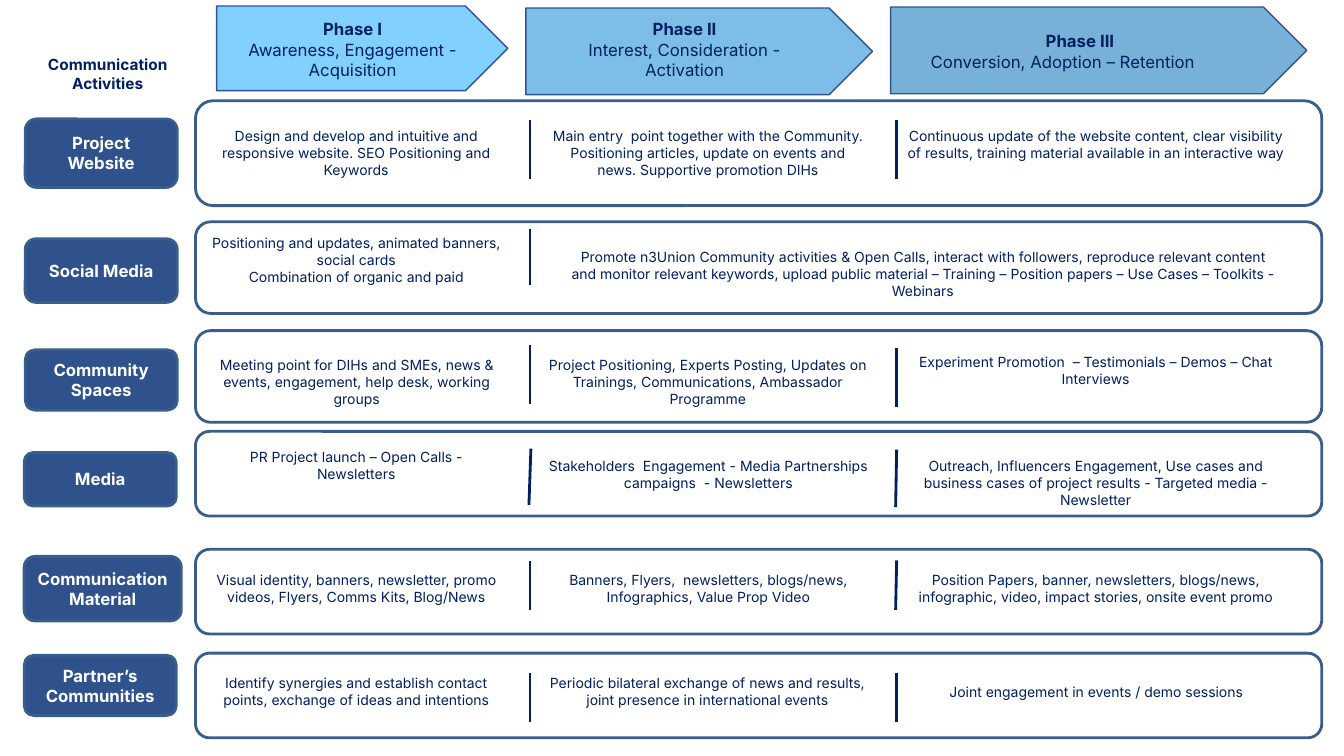
"""Build the communication activities by phase slide."""
from dataclasses import dataclass

from lxml import etree
from pptx import Presentation
from pptx.dml.color import RGBColor
from pptx.enum import shapes, text
from pptx.oxml import ns
from pptx.util import Inches, Pt


@dataclass(frozen=True)
class Theme:
    font: str = "Inter"
    navy: str = "002060"
    white: str = "FFFFFF"
    label_fill: str = "2F518C"
    outline: str = "395E89"
    arrow_outline: str = "31538F"
    body_size: int = 10
    heading_size: int = 11
    label_size: int = 12


THEME = Theme()
SLIDE_SIZE = (13.34, 7.5)
PANEL_LEFT, PANEL_WIDTH = 1.94, 11.18
FIRST, SECOND = 5.26, 8.9
HEADING = ("Communication Activities", (0.24, 0.5, 1.66, 0.47))

# phase, aim, arrow fill, arrow box, text box, right indent of the aim
PHASES = [
    ("Phase I", "Awareness, Engagement - Acquisition", "82D0FE",
     (2.15, 0.06, 2.89, 0.84), (2.24, 0.14, 2.52, 0.91), 0),
    ("Phase II", "Interest, Consideration - Activation", "7DBEE8",
     (5.22, 0.08, 3.44, 0.86), (5.49, 0.14, 2.61, 0.71), 0),
    ("Phase III", "Conversion, Adoption – Retention", "77B1D7",
     (8.84, 0.07, 4.13, 0.86), (9.12, 0.26, 3.2, 0.71), 0.34),
]

# label, label box, panel top and height, cells (text, box), dividers (from, to)
ACTIVITIES = [
    ("Project Website", (0.25, 1.18, 1.51, 0.68), (1, 1.04), [
        ("Design and develop and intuitive and responsive website. SEO Positioning and Keywords",
         (2.03, 1.22, 3.01, 0.66)),
        ("Main entry  point together with the Community. Positioning articles, update on events "
         "and news. Supportive promotion DIHs", (5.37, 1.22, 3.31, 0.66)),
        ("Continuous update of the website content, clear visibility of results, training "
         "material available in an interactive way", (8.89, 1.22, 3.97, 0.66)),
    ], [(FIRST, 1.19, FIRST, 1.78), (SECOND, 1.19, SECOND, 1.78)]),
    ("Social Media", (0.25, 2.37, 1.51, 0.63), (2.2, 0.91), [
        ("Positioning and updates, animated banners, social cards\n"
         "Combination of organic and paid", (1.99, 2.28, 3.09, 0.66)),
        ("Promote n3Union Community activities & Open Calls, interact with followers, reproduce "
         "relevant content and monitor relevant keywords, upload public material – Training – "
         "Position papers – Use Cases – Toolkits - Webinars", (5.53, 2.42, 7.26, 0.47)),
    ], [(FIRST, 2.27, FIRST, 2.83)]),
    ("Community Spaces", (0.25, 3.47, 1.51, 0.6), (3.28, 0.91), [
        ("Meeting point for DIHs and SMEs, news & events, engagement, help desk, working groups",
         (1.94, 3.49, 3.2, 0.47)),
        ("Project Positioning, Experts Posting, Updates on Trainings, Communications, "
         "Ambassador Programme", (5.26, 3.49, 3.53, 0.47)),
        ("Experiment Promotion  – Testimonials – Demos – Chat Interviews",
         (8.89, 3.46, 3.97, 0.53)),
    ], [(FIRST, 3.42, FIRST, 4.01), (SECOND, 3.45, SECOND, 4.04)]),
    ("Media", (0.24, 4.49, 1.51, 0.53), (4.28, 0.84), [
        ("PR Project launch – Open Calls - Newsletters", (2.09, 4.4, 2.89, 0.66)),
        ("Stakeholders  Engagement - Media Partnerships campaigns  - Newsletters",
         (5.32, 4.49, 3.42, 0.47)),
        ("Outreach, Influencers Engagement, Use cases and business cases of project results - "
         "Targeted media - Newsletter", (8.84, 4.49, 4.07, 0.47)),
    ], [(5.27, 4.45, 5.25, 5.01), (SECOND, 4.46, 8.89, 5.03)]),
    ("Communication Material", (0.24, 5.52, 1.56, 0.64), (5.45, 0.84), [
        ("Visual identity, banners, newsletter, promo videos, Flyers, Comms Kits, Blog/News",
         (1.99, 5.62, 3.09, 0.47)),
        ("Banners, Flyers,  newsletters, blogs/news, Infographics, Value Prop Video",
         (5.32, 5.62, 3.42, 0.47)),
        ("Position Papers, banner, newsletters, blogs/news, infographic, video, impact stories, "
         "onsite event promo", (8.89, 5.62, 3.97, 0.47)),
    ], [(FIRST, 5.57, FIRST, 6.05), (SECOND, 5.56, 8.89, 6.05)]),
    ("Partner’s Communities", (0.24, 6.5, 1.51, 0.6), (6.48, 0.84), [
        ("Identify synergies and establish contact points, exchange of ideas and intentions",
         (2.03, 6.64, 3.01, 0.47)),
        ("Periodic bilateral exchange of news and results, joint presence in international events",
         (5.3, 6.64, 3.44, 0.47)),
        ("Joint engagement in events / demo sessions", (8.5, 6.73, 4.76, 0.29)),
    ], [(FIRST, 6.68, FIRST, 7.16), (SECOND, 6.68, SECOND, 7.16)]),
]


def inches(values):
    return [Inches(value) for value in values]


def write(frame, content, size=THEME.body_size, color=THEME.navy, bold=False,
          bold_first=False, anchor=text.MSO_ANCHOR.TOP):
    frame.word_wrap = True
    frame.vertical_anchor = anchor
    for index, line in enumerate(content.split("\n")):
        paragraph = frame.add_paragraph() if index else frame.paragraphs[0]
        paragraph.alignment = text.PP_ALIGN.CENTER
        run = paragraph.add_run()
        run.text = line
        run.font.name = THEME.font
        run.font.size = Pt(size)
        run.font.bold = bold or (bold_first and index == 0)
        run.font.color.rgb = RGBColor.from_string(color)


def add_text(slide, content, box, **style):
    shape = slide.shapes.add_textbox(*inches(box))
    write(shape.text_frame, content, **style)
    return shape


def add_box(slide, kind, box, fill=None, outline=THEME.outline, width=2):
    shape = slide.shapes.add_shape(kind, *inches(box))
    shape.shadow.inherit = False
    if fill:
        shape.fill.solid()
        shape.fill.fore_color.rgb = RGBColor.from_string(fill)
    else:
        shape.fill.background()
    shape.line.color.rgb = RGBColor.from_string(outline)
    shape.line.width = Pt(width)
    return shape


def add_divider(slide, ends):
    line = slide.shapes.add_connector(shapes.MSO_CONNECTOR.STRAIGHT, *inches(ends))
    line.line.color.rgb = RGBColor.from_string(THEME.navy)
    line.line.width = Pt(2)
    etree.SubElement(line._element.spPr, ns.qn("a:effectLst"))


def add_phase(slide, phase, aim, fill, arrow_box, text_box, indent):
    add_box(slide, shapes.MSO_SHAPE.PENTAGON, arrow_box, fill, THEME.arrow_outline, 1)
    shape = add_text(slide, f"{phase}\n{aim}", text_box, size=THEME.label_size, bold_first=True)
    if indent:
        properties = shape.text_frame.paragraphs[1]._p.get_or_add_pPr()
        properties.set("marR", str(Inches(indent)))


def add_activity(slide, label, label_box, panel, cells, dividers):
    rounded = shapes.MSO_SHAPE.ROUNDED_RECTANGLE
    pill = add_box(slide, rounded, label_box, THEME.label_fill)
    write(pill.text_frame, label, size=THEME.label_size, color=THEME.white, bold=True,
          anchor=text.MSO_ANCHOR.MIDDLE)
    top, height = panel
    add_box(slide, rounded, (PANEL_LEFT, top, PANEL_WIDTH, height))
    for content, box in cells:
        add_text(slide, content, box)
    for ends in dividers:
        add_divider(slide, ends)


def main():
    presentation = Presentation()
    presentation.slide_width, presentation.slide_height = inches(SLIDE_SIZE)
    slide = presentation.slides.add_slide(presentation.slide_layouts[6])
    for activity in ACTIVITIES:
        add_activity(slide, *activity)
    for phase in PHASES:
        add_phase(slide, *phase)
    add_text(slide, *HEADING, size=THEME.heading_size, bold=True)
    presentation.save("out.pptx")


if __name__ == "__main__":
    main()
